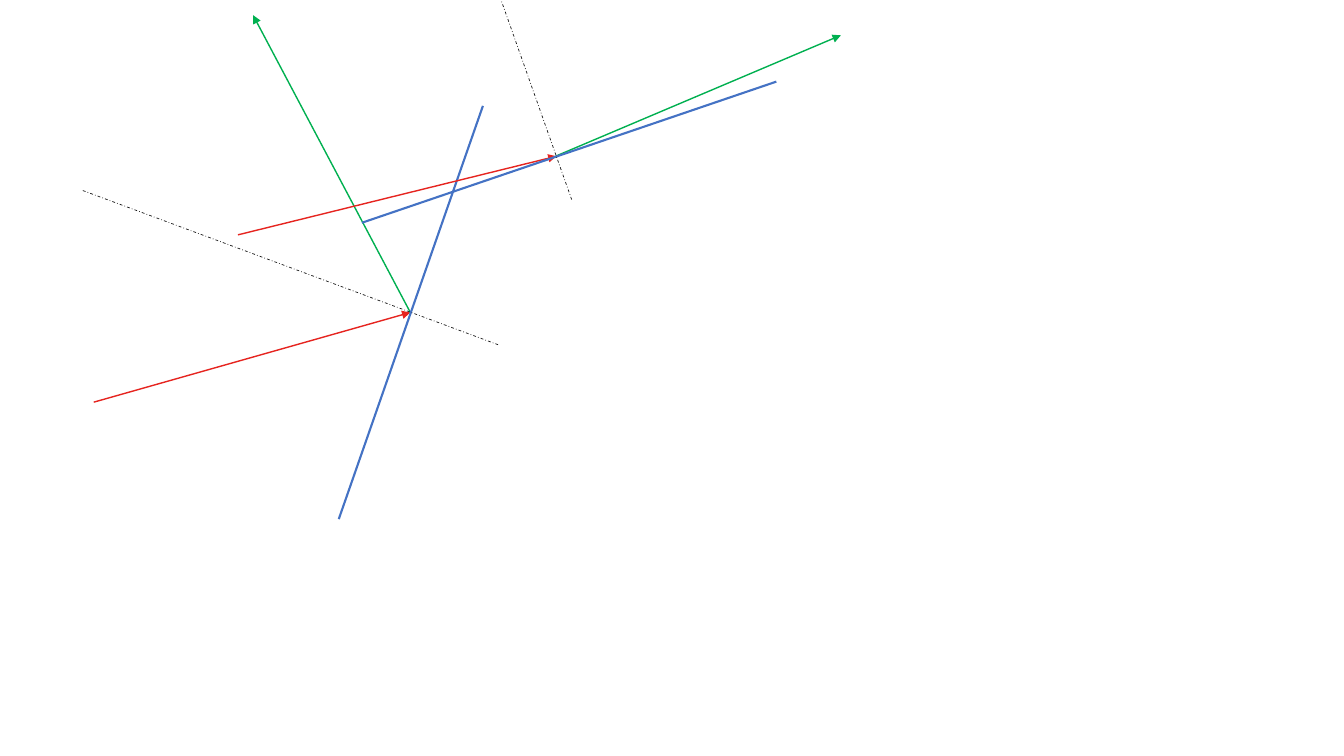
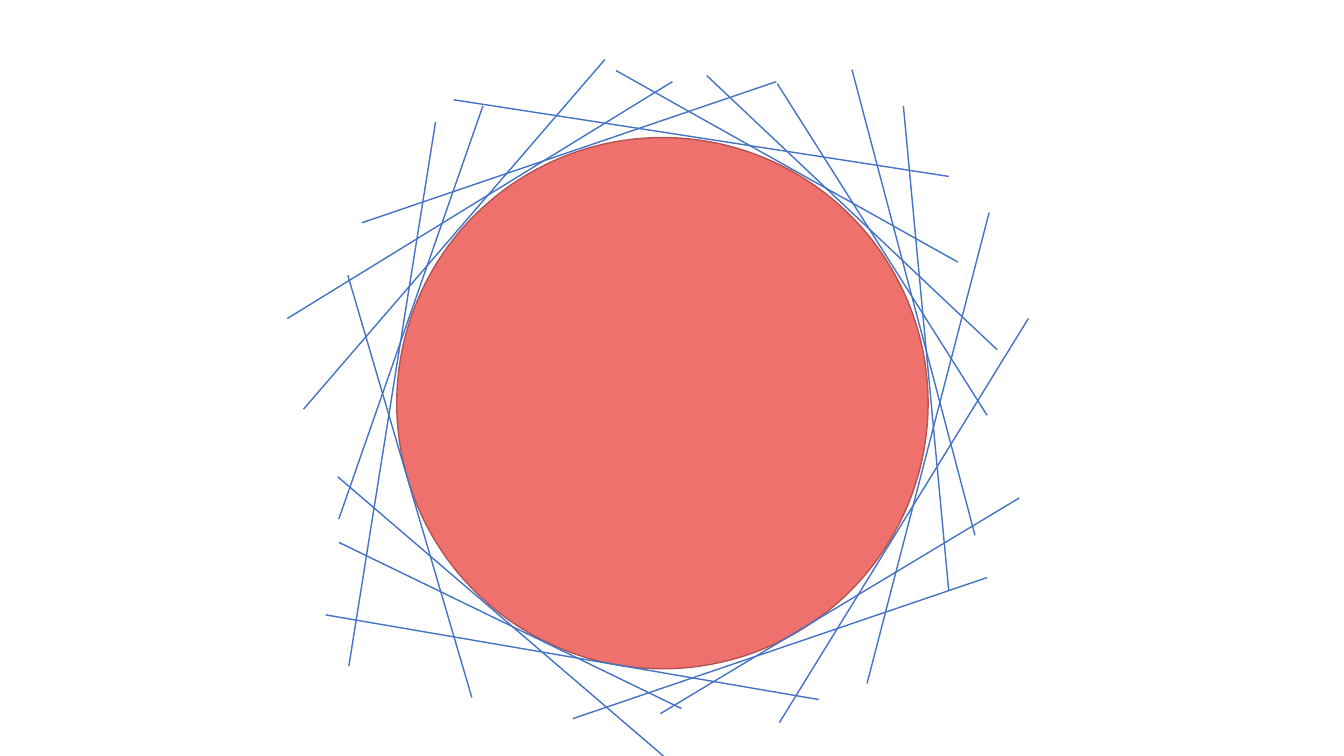
from lxml.etree import SubElement
from pptx import Presentation
from pptx.dml.color import RGBColor
from pptx.enum.dml import MSO_LINE
from pptx.enum.shapes import MSO_CONNECTOR, MSO_SHAPE
from pptx.oxml.ns import qn
from pptx.util import Inches, Pt

COLUMNS, ROWS = 13.33, 7.5
SLIDE_WIDTH, SLIDE_HEIGHT = Inches(13.333), Inches(7.5)

COLORS = {
    "incoming": "E6241F",
    "reflected": "00B050",
    "mirror": "4472C4",
    "normal": "1A1A1A",
    "disc": "EF716E",
    "disc_edge": "B15451",
}

LINE_FORMATS = {
    "incoming": {"width": Pt(1)},
    "reflected": {"width": Pt(1)},
    "mirror": {"width": Pt(1.5)},
    "tangent": {"width": Pt(1)},
    "normal": {"width": Pt(0.5), "dash_style": MSO_LINE.DASH_DOT},
    "disc_edge": {"width": Pt(1)},
}

ARROWS = {"incoming", "reflected"}

STEEP_MIRROR = (3.36, 5.15, 4.79, 1.05)
FLAT_MIRROR = (3.59, 2.21, 7.7, 0.81)

REFLECTION_LINES = [
    ("incoming", (4.07, 3.1, 0.93, 3.99)),
    ("reflected", (2.51, 0.15, 4.07, 3.1)),
    ("mirror", STEEP_MIRROR),
    ("incoming", (5.52, 1.55, 2.36, 2.33)),
    ("reflected", (8.34, 0.35, 5.51, 1.55)),
    ("mirror", FLAT_MIRROR),
    ("normal", (4.94, 3.42, 0.82, 1.89)),
    ("normal", (5.67, 1.98, 4.97, 0)),
]

DISC_CENTER, DISC_DIAMETER = (6.57, 4), 5.27

TANGENTS = [
    STEEP_MIRROR,
    FLAT_MIRROR,
    (2.85, 3.16, 6.67, 0.81),
    (7.01, 0.75, 9.89, 3.47),
    (5.68, 7.13, 9.79, 5.73),
    (8.6, 6.78, 9.81, 2.11),
    (3.23, 6.1, 8.12, 6.94),
    (3.36, 5.38, 6.76, 7.03),
    (4.5, 0.99, 9.41, 1.75),
    (3.46, 6.61, 4.32, 1.21),
    (3.35, 4.73, 6.58, 7.5),
    (3.45, 2.73, 4.68, 6.92),
    (7.73, 7.17, 10.2, 3.16),
    (6.55, 7.08, 10.11, 4.94),
    (8.45, 0.69, 9.67, 5.31),
    (3.01, 4.06, 6, 0.59),
    (8.96, 1.05, 9.41, 5.86),
    (7.71, 0.83, 9.79, 4.12),
    (6.11, 0.7, 9.5, 2.6),
]


def across(columns):
    return round(SLIDE_WIDTH * columns / COLUMNS)


def down(rows):
    return round(SLIDE_HEIGHT * rows / ROWS)


def color(name):
    return RGBColor.from_string(COLORS[name])


def format_line(line, color_name, format_name):
    line.color.rgb = color(color_name)
    for attribute, value in LINE_FORMATS[format_name].items():
        setattr(line, attribute, value)


def add_line(slide, kind, ends):
    start_column, start_row, end_column, end_row = ends
    connector = slide.shapes.add_connector(
        MSO_CONNECTOR.STRAIGHT,
        across(start_column), down(start_row),
        across(end_column), down(end_row),
    )
    format_line(connector.line, "mirror" if kind == "tangent" else kind, kind)
    properties = connector._element.spPr
    if kind in ARROWS:
        SubElement(properties.find(qn("a:ln")), qn("a:headEnd"), type="triangle")
    SubElement(properties, qn("a:effectLst"))


def add_disc(slide, center, diameter):
    column, row = center
    disc = slide.shapes.add_shape(
        MSO_SHAPE.OVAL,
        across(column - diameter / 2), down(row - diameter / 2),
        across(diameter), down(diameter),
    )
    disc.shadow.inherit = False
    disc.fill.solid()
    disc.fill.fore_color.rgb = color("disc")
    format_line(disc.line, "disc_edge", "disc_edge")


def add_blank_slide(presentation):
    return presentation.slides.add_slide(presentation.slide_layouts[6])


def main():
    presentation = Presentation()
    presentation.slide_width = SLIDE_WIDTH
    presentation.slide_height = SLIDE_HEIGHT

    reflection_slide = add_blank_slide(presentation)
    for kind, ends in REFLECTION_LINES:
        add_line(reflection_slide, kind, ends)

    tangent_slide = add_blank_slide(presentation)
    add_disc(tangent_slide, DISC_CENTER, DISC_DIAMETER)
    for ends in TANGENTS:
        add_line(tangent_slide, "tangent", ends)

    presentation.save("out.pptx")


if __name__ == "__main__":
    main()
